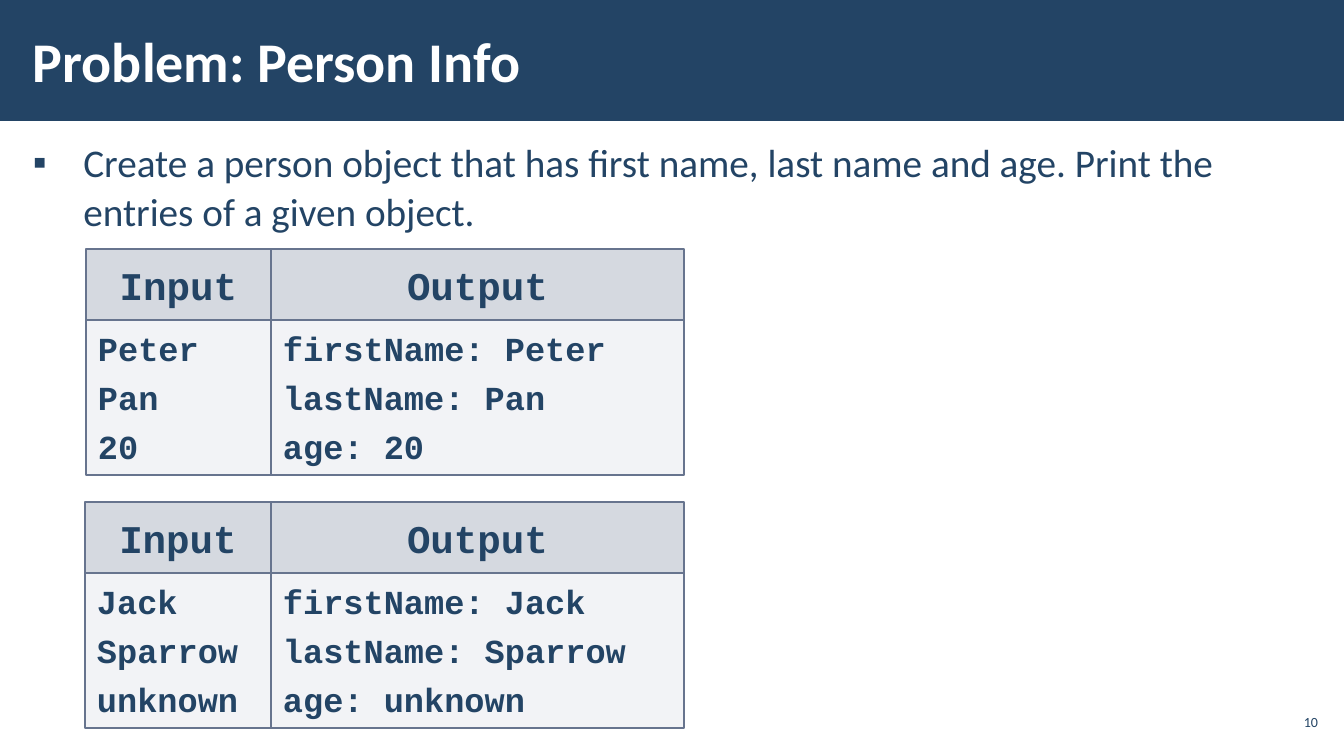
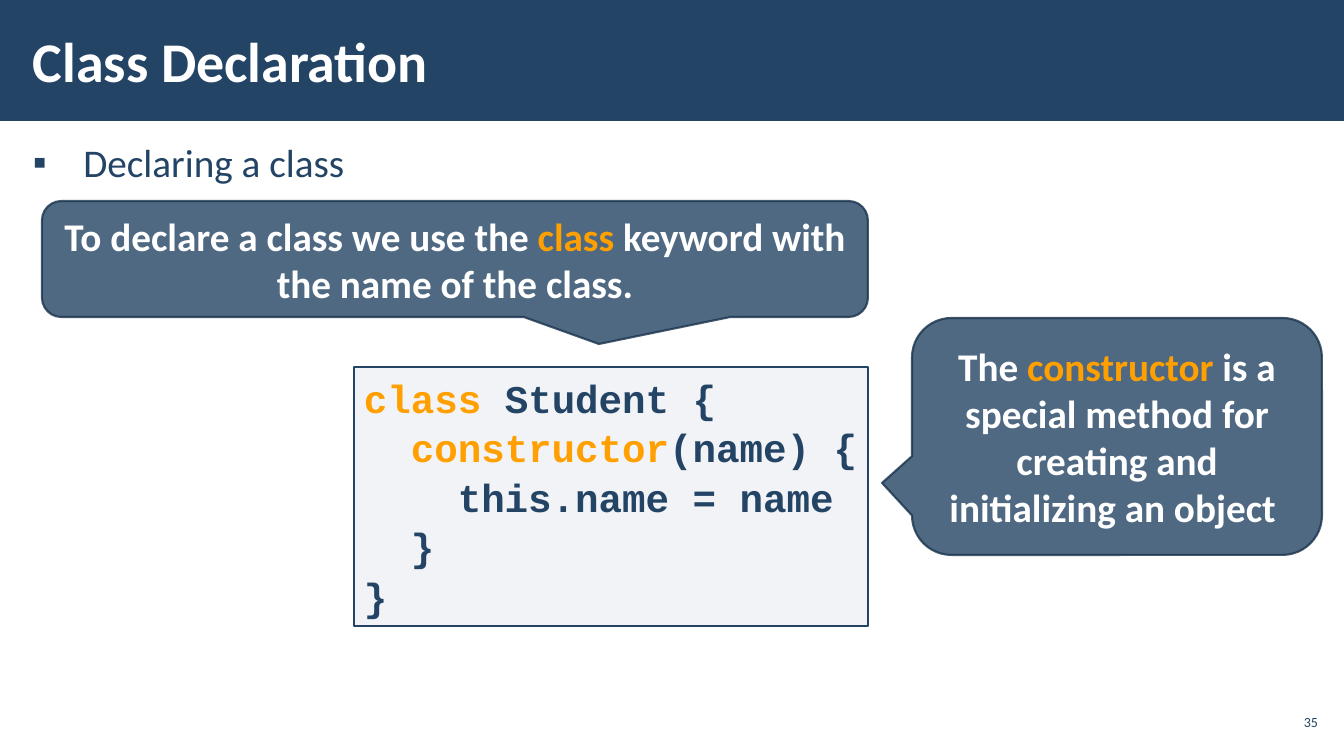
from pptx import Presentation
from pptx.dml.color import RGBColor
from pptx.enum.shapes import MSO_SHAPE as Shape
from pptx.enum.text import MSO_ANCHOR as Anchor, MSO_AUTO_SIZE as Auto, PP_ALIGN as Align
from pptx.oxml import parse_xml
from pptx.oxml.ns import nsdecls, qn
from pptx.util import Emu, Pt

# Content: *starred* words are highlighted
PERSON = {
    "title": "Problem: Person Info", "page": "10",
    "body": "Create a person object that has first name, last name and age. "
            "Print the entries of a given object.",
}
CLASS = {"title": "Class Declaration", "page": "35", "body": "Declaring a class"}
HEAD = ["Input", "Output"]
CASES = [  # left, top, input lines, output lines
    (86, 249, ["Peter", "Pan", "20"],
     ["firstName: Peter", "lastName: Pan", "age: 20"]),
    (85, 502, ["Jack", "Sparrow", "unknown"],
     ["firstName: Jack", "lastName: Sparrow", "age: unknown"]),
]
CODE = [
    "*class* Student {",
    "  *constructor*(name) {",
    "    this.name = name",
    "  }",
    "}",
]
NOTES = [  # place, pointer tip, text
    ((42, 201, 826, 116), (599, 344),
     "To declare a class we use the *class* keyword with the name of the class."),
    ((912, 318, 410, 237), (882, 483),
     "The *constructor* is a special method for creating and initializing an object "),
]

# Theme
NAVY, WHITE, ORANGE = "234465", "FFFFFF", "FFA000"
GREY, EDGE, DARK = "ADB4C3", "67748E", "1A334C"
SANS, MONO = "Calibri", "Courier New"
WIDE, HIGH, BAND = 1344, 756, 121
SPLIT, RIGHT = 271, 684  # column edges of the cases
TALL, DEEP = 71, 155  # heights of head and value cells
SCALE = 914400 / 100.8


def px(n):
    return Emu(round(n * SCALE))


def box(*nums):
    return [px(n) for n in nums]


def rgb(code):
    return RGBColor.from_string(code)


def fade(node, share):
    """Make every colour set so far in node partly opaque."""
    for clr in node.iter(qn("a:srgbClr")):
        clr.append(parse_xml(f'<a:alpha {nsdecls("a")} val="{share * 1000}"/>'))


def write(frame, lines, size, font=SANS, color=NAVY, bold=True,
          align=Align.LEFT, before=0, after=0, space=1.0):
    for i, line in enumerate(lines):
        para = frame.add_paragraph() if i else frame.paragraphs[0]
        para.alignment, para.line_spacing = align, space
        para.space_before, para.space_after = Pt(before), Pt(after)
        for j, part in enumerate(line.split("*")):
            if not part:
                continue
            run = para.add_run()
            run.text = part
            run.font.name, run.font.size, run.font.bold = font, Pt(size), bold
            run.font.color.rgb = rgb(ORANGE if j % 2 else color)


def pad(frame, side, top):
    frame.margin_left = frame.margin_right = px(side)
    frame.margin_top = frame.margin_bottom = px(top)


def draw(slide, kind, place, fill, share=100, line=None, width=1):
    shape = slide.shapes.add_shape(kind, *box(*place))
    shape.shadow.inherit = False
    shape.text_frame.vertical_anchor = Anchor.TOP
    shape.fill.solid()
    shape.fill.fore_color.rgb = rgb(fill)
    if share < 100:
        fade(shape._element.spPr, share)
    if line:
        shape.line.color.rgb = rgb(line)
        shape.line.width = Pt(width)
    else:
        shape.line.fill.background()
    return shape


def set_place(item, place):
    item.left, item.top, item.width, item.height = box(*place)


def add_slide(deck, layout, data):
    slide = deck.slides.add_slide(layout)
    title, body = slide.placeholders
    for frame in (title.text_frame, body.text_frame):
        frame.auto_size = Auto.NONE
        pad(frame, 12, 4)
    title.text_frame.vertical_anchor = Anchor.MIDDLE
    write(title.text_frame, [data["title"]], 40, color=WHITE)

    # Bulleted lead sentence
    write(body.text_frame, [data["body"]], 28, bold=False,
          before=6, after=6, space=1.05)
    props = body.text_frame.paragraphs[0]._p.get_or_add_pPr()
    props.set("marL", str(Pt(36)))
    props.set("indent", str(-Pt(36)))
    for tag in ('buFont typeface="Arial"', 'buChar char="▪"'):
        props.append(parse_xml(f'<a:{tag} {nsdecls("a")}/>'))

    # Page number
    frame = slide.shapes.add_textbox(*box(1275, 705, 47, 34)).text_frame
    frame.word_wrap = True
    frame.vertical_anchor = Anchor.MIDDLE
    pad(frame, 4, 4)
    write(frame, [data["page"]], 10, bold=False, align=Align.RIGHT)
    return slide


def add_case(slide, left, top, given, shown):
    edges = [(left, SPLIT - left), (SPLIT, RIGHT - SPLIT)]
    for (x, wide), name, lines in zip(edges, HEAD, (given, shown)):
        cell = draw(slide, Shape.RECTANGLE, (x, top + TALL, wide, DEEP), GREY, 15, EDGE)
        pad(cell.text_frame, 12, 8)
        write(cell.text_frame, lines, 24, MONO, before=6)
        head = draw(slide, Shape.RECTANGLE, (x, top, wide, TALL), GREY, 50, EDGE)
        pad(head.text_frame, 12, 12)
        write(head.text_frame, [name], 28, MONO, align=Align.CENTER)


def add_note(slide, place, tip, text):
    note = draw(slide, Shape.ROUNDED_RECTANGULAR_CALLOUT, place, NAVY, 80, DARK, 1.5)
    for i in (0, 1):
        size = place[i + 2]
        note.adjustments[i] = (tip[i] - place[i]) / size - 0.5
    fade(note.line._ln, 80)
    note.text_frame.vertical_anchor = Anchor.MIDDLE
    write(note.text_frame, [text], 28, color=WHITE, align=Align.CENTER)


def main():
    deck = Presentation()
    deck.slide_width, deck.slide_height = box(WIDE, HIGH)
    layout = deck.slide_layouts[1]
    set_place(layout.placeholders[0], (21, 11, 1048, 98))
    set_place(layout.placeholders[1], (21, 132, 1302, 574))

    # Person slide, whose band moves to the shared layout
    slide = add_slide(deck, layout, PERSON)
    band = draw(slide, Shape.RECTANGLE, (0, 0, WIDE, BAND), NAVY)
    layout.shapes._spTree.insert(2, band._element)
    for case in CASES:
        add_case(slide, *case)

    # Class slide: code box and callouts
    slide = add_slide(deck, layout, CLASS)
    code = draw(slide, Shape.RECTANGLE, (354, 367, 514, 259), GREY, 15, NAVY)
    code.text_frame.margin_right = 0
    write(code.text_frame, CODE, 28, MONO, space=1.05)
    for note in NOTES:
        add_note(slide, *note)

    deck.save("out.pptx")


if __name__ == "__main__":
    main()
